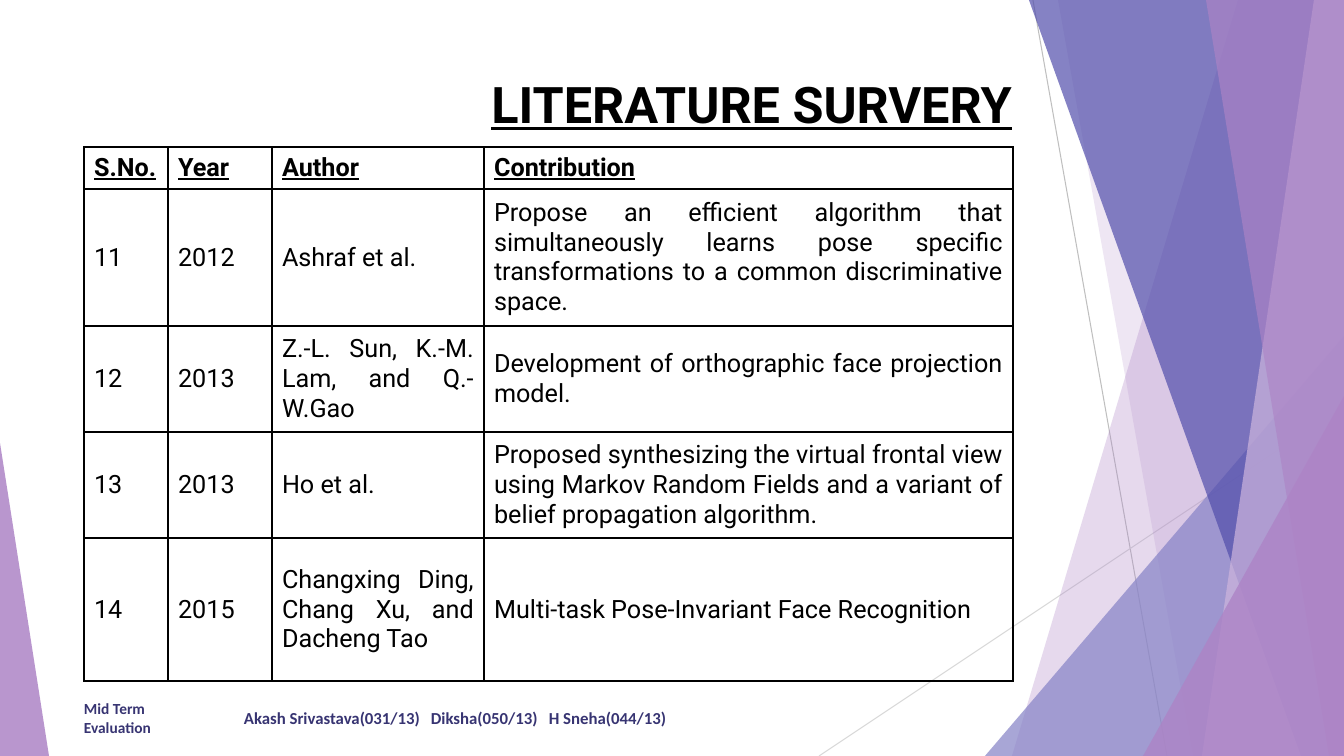
from lxml import etree
from pptx import Presentation, util as u
from pptx.dml.color import RGBColor
from pptx.enum import shapes, text
from pptx.oxml.ns import qn

SCALE = 914400 / 100.8
WIDTH, HEIGHT = 1344, 756
VIOLET, INK, BLACK = "AD84C6", "373472", "000000"


def px(length):
    return u.Emu(round(length * SCALE))


def color(value):
    return RGBColor.from_string(value)


def paint(shape, value, opacity):
    shape.shadow.inherit = False
    shape.line.fill.background()
    shape.fill.solid()
    shape.fill.fore_color.rgb = color(value)
    tint = shape.fill._xPr.find(qn("a:solidFill"))[0]
    etree.SubElement(tint, qn("a:alpha"), val=str(opacity * 1000))


def write(frame, words, size=18, font="Roboto", ink=BLACK, bold=False,
          underline=False, align=None, anchor=text.MSO_ANCHOR.MIDDLE, tabs=()):
    frame.word_wrap = True
    frame.vertical_anchor = anchor
    paragraph = frame.paragraphs[0]
    paragraph.alignment = align
    run = paragraph.add_run()
    run.text = words
    run.font.size = u.Pt(size)
    run.font.name = font
    run.font.bold = bold
    run.font.underline = underline
    run.font.color.rgb = color(ink)
    if tabs:
        stops = etree.SubElement(paragraph._p.get_or_add_pPr(), qn("a:tabLst"))
        for stop in tabs:
            etree.SubElement(stops, qn("a:tab"), pos=str(px(stop)), algn="l")


def label(slide, box, words, **style):
    write(slide.shapes.add_textbox(*map(px, box)).text_frame, words, **style)


def ray(slide, start, end, value):
    line = slide.shapes.add_connector(
        shapes.MSO_CONNECTOR.STRAIGHT, *map(px, start + end))
    line.line.color.rgb = color(value)
    line.line.width = u.Pt(0.75)
    etree.SubElement(line._element.spPr, qn("a:effectLst"))


def wedge(slide, box, apex, value, opacity):
    triangle = slide.shapes.add_shape(
        shapes.MSO_SHAPE.ISOSCELES_TRIANGLE, *map(px, box))
    triangle.adjustments[0] = apex
    paint(triangle, value, opacity)


def ribbon(slide, box, top_x, bottom_x, value, opacity):
    left, top, width, height = box
    right, bottom = left + width, top + height
    outline = slide.shapes.build_freeform(left + top_x, top, scale=SCALE)
    outline.add_line_segments(
        [(right, top), (right, bottom), (left + bottom_x, bottom)])
    paint(outline.convert_to_shape(), value, opacity)


def corner_wedge(slide, box, width, height, value, opacity):
    right, bottom = box[0] + box[2], box[1] + box[3]
    wedge(slide, (right - width, bottom - height, width, height), 1, value, opacity)


def facets(slide, box):
    left, top, width, height = box
    right, bottom = left + width, top + height
    ray(slide, (left + 214, top), (left + 348, bottom), "BFBFBF")
    ray(slide, (right, top + 406), (left, bottom), "D9D9D9")
    ribbon(slide, box, 419, 193, VIOLET, 30)
    ribbon(slide, box, 239, 374, VIOLET, 20)
    corner_wedge(slide, box, 359, 420, "8784C7", 72)
    for band in ((210, 482, "524EAB", 70), (495, 383, "CEB5DD", 70),
                 (387, 510, VIOLET, 65)):
        ribbon(slide, box, *band)
    corner_wedge(slide, box, 201, 360, VIOLET, 80)


def border(cell):
    properties = cell._tc.get_or_add_tcPr()
    for place, side in enumerate(("a:lnL", "a:lnR", "a:lnT", "a:lnB")):
        edge = etree.Element(qn(side), w=str(u.Pt(1)))
        fill = etree.SubElement(edge, qn("a:solidFill"))
        etree.SubElement(fill, qn("a:srgbClr"), val=BLACK)
        properties.insert(place, edge)


def survey(slide, box, column_widths, row_heights, entries):
    table = slide.shapes.add_table(
        len(entries), len(column_widths), *map(px, box)).table
    table.horz_banding = False
    for column, width in zip(table.columns, column_widths):
        column.width = px(width)
    for row, height, entry in zip(table.rows, row_heights, entries):
        row.height = px(height)
        heading = entry is entries[0]
        for cell, words in zip(row.cells, entry):
            cell.fill.background()
            border(cell)
            write(cell.text_frame, words, bold=heading, underline=heading,
                  align=text.PP_ALIGN.JUSTIFY)
            cell.vertical_anchor = text.MSO_ANCHOR.MIDDLE


def footer(slide, box):
    left, top, width, height = box
    style = dict(font="Calibri", ink=INK, bold=True)
    label(slide, (left, top, 101, height), "Mid Term Evaluation", size=11, **style)
    label(slide, (left + 160, top, width - 160, height),
          "Akash Srivastava(031/13)\tDiksha(050/13)\tH Sneha(044/13)",
          size=12, tabs=(187, 305), **style)


ENTRIES = [
    ("S.No.", "Year", "Author", "Contribution"),
    ("11", "2012", "Ashraf et al.",
     "Propose an efficient algorithm that simultaneously learns pose specific "
     "transformations to a common discriminative space."),
    ("12", "2013", "Z.-L. Sun, K.-M. Lam, and Q.-W.Gao",
     "Development of orthographic face projection model."),
    ("13", "2013", "Ho et al.",
     "Proposed synthesizing the virtual frontal view using Markov Random Fields "
     "and a variant of belief propagation algorithm."),
    ("14", "2015", "Changxing Ding, Chang Xu, and Dacheng Tao",
     "Multi-task Pose-Invariant Face Recognition"),
]

deck = Presentation()
deck.slide_width, deck.slide_height = px(WIDTH), px(HEIGHT)
page = deck.slides.add_slide(deck.slide_layouts[6])
facets(page, (819, 0, 525, HEIGHT))
wedge(page, (0, 443, 49, 313), 0, VIOLET, 85)
footer(page, (74, 698, 854, 40))
label(page, (74, 68, 948, 100), "LITERATURE SURVERY", size=36, bold=True,
      underline=True, align=text.PP_ALIGN.RIGHT, anchor=text.MSO_ANCHOR.TOP)
survey(page, (84, 147, 929, 534), (84, 104, 212, 529),
       (42, 137, 106, 106, 143), ENTRIES)
deck.save("out.pptx")
